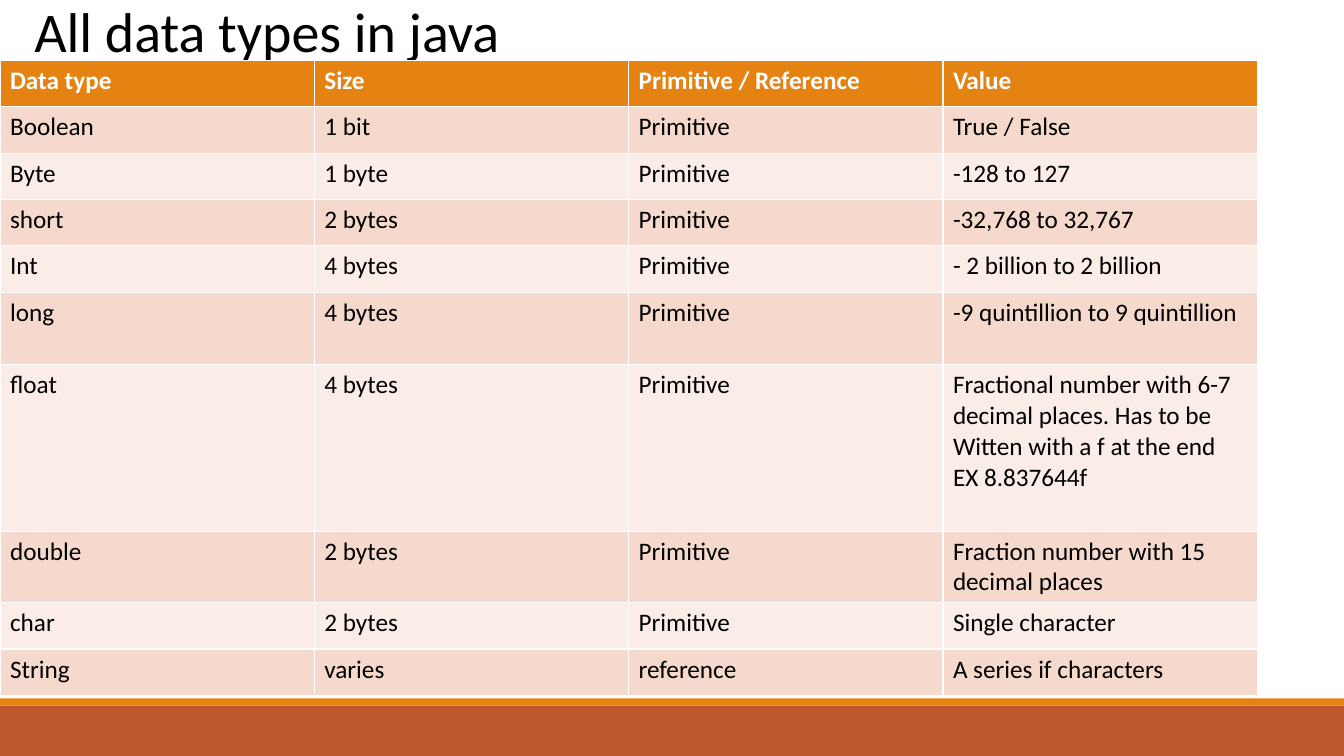
import pptx
import pptx.util
import pptx.dml.color
import pptx.enum.shapes
import pptx.enum.text
from pptx.util import Inches


def color(value):
    return pptx.dml.color.RGBColor.from_string(value)


def style(p, size, value, bold=False):
    p.font.name = "Calibri"
    p.font.size = pptx.util.Pt(size)
    p.font.bold = bold
    p.font.color.rgb = color(value)


prs = pptx.Presentation()
prs.slide_width = Inches(13.33)
prs.slide_height = Inches(7.5)
s = prs.slides.add_slide(prs.slide_layouts[5])

for top, height, fill in [(7, 0.5, "BD582C"), (6.93, 0.07, "E48312")]:
    band = s.shapes.add_shape(
        pptx.enum.shapes.MSO_SHAPE.RECTANGLE,
        0, Inches(top), prs.slide_width, Inches(height))
    band.shadow.inherit = False
    band.fill.solid()
    band.fill.fore_color.rgb = color(fill)
    band.line.fill.background()

title = s.shapes.title
title.left, title.top = Inches(0.24), Inches(-0.08)
title.width, title.height = Inches(12.47), Inches(0.77)
tf = title.text_frame
tf.text = "All data types in java"
tf.word_wrap = True
tf.auto_size = pptx.enum.text.MSO_AUTO_SIZE.NONE
tf.vertical_anchor = pptx.enum.text.MSO_ANCHOR.TOP
p = tf.paragraphs[0]
p.alignment = pptx.enum.text.PP_ALIGN.LEFT
style(p, 40, "000000")

rows = [
    ("Data type", "Size", "Primitive / Reference", "Value"),
    ("Boolean", "1 bit", "Primitive", "True / False"),
    ("Byte", "1 byte", "Primitive", "-128 to 127"),
    ("short", "2 bytes", "Primitive", "-32,768 to 32,767"),
    ("Int", "4 bytes", "Primitive", "- 2 billion to 2 billion"),
    ("long", "4 bytes", "Primitive", "-9 quintillion to 9 quintillion"),
    ("float", "4 bytes", "Primitive",
     "Fractional number with 6-7 decimal places. Has to be Witten with a f at the end\nEX 8.837644f"),
    ("double", "2 bytes", "Primitive", "Fraction number with 15 decimal places"),
    ("char", "2 bytes", "Primitive", "Single character"),
    ("String", "varies", "reference", "A series if characters"),
]
tall_rows = {"long": 0.72, "float": 1.65, "double": 0.7}

table = s.shapes.add_table(
    len(rows), 4, 0, Inches(0.6), Inches(12.47), Inches(6.3)).table
for i, texts in enumerate(rows):
    table.rows[i].height = Inches(tall_rows.get(texts[0], 0.46))
    header = i == 0
    fill = "E48312" if header else ("FAEDE7", "F5D9CC")[i % 2]
    for j, text in enumerate(texts):
        cell = table.cell(i, j)
        cell.text = text
        cell.fill.solid()
        cell.fill.fore_color.rgb = color(fill)
        for p in cell.text_frame.paragraphs:
            style(p, 18, "FFFFFF" if header else "000000", header)

prs.save("out.pptx")
